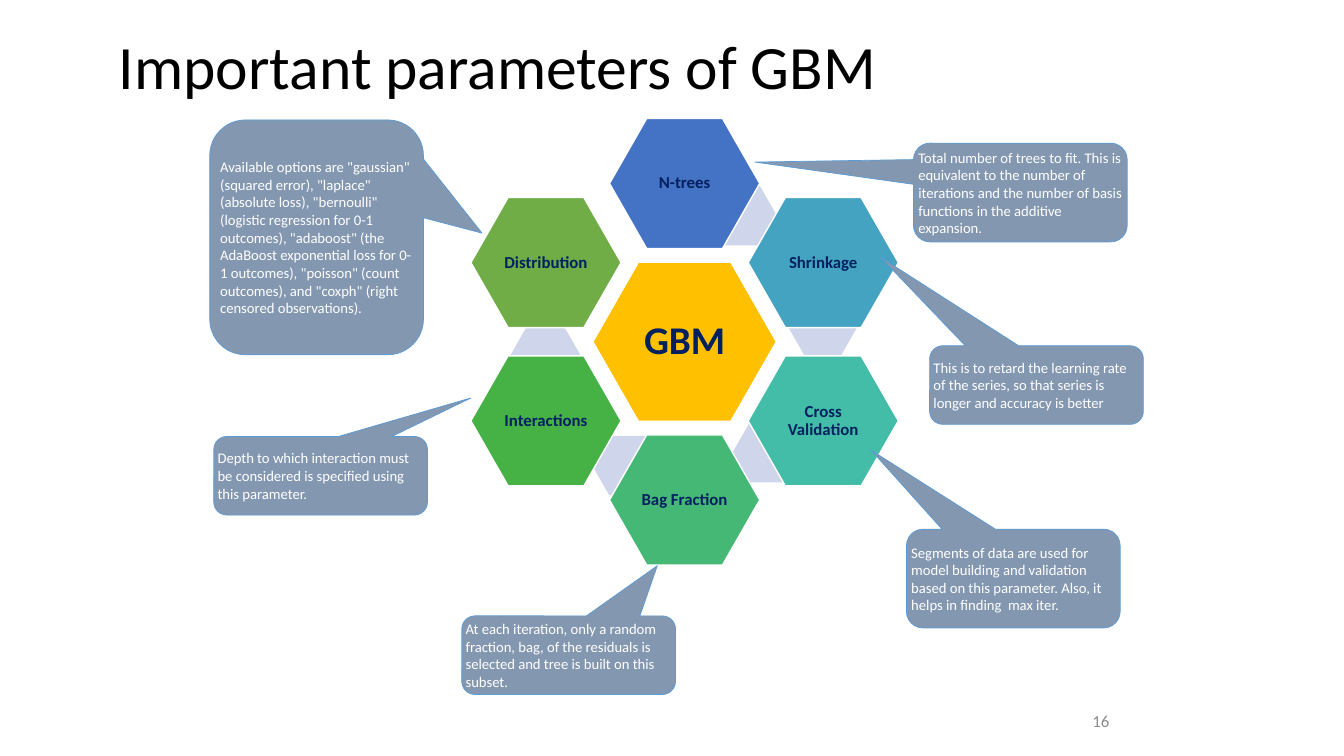
from pptx import Presentation
from pptx.dml.color import RGBColor
from pptx.enum import shapes, text
from pptx.util import Inches, Pt

FONT, NAVY, WHITE = "Calibri", "002060", "FFFFFF"
TITLE = "Important parameters of GBM"
PAGE_NUMBER = "16"

# Hexagon ring: columns and rows are counted from the hub
HUB = ("GBM", "FFC000")
HUB_X, HUB_Y = 6.79, 3.39
COLUMN_STEP, ROW_STEP = 1.375, 0.785
PARAMETERS = [  # label, colour, column, row
    ("N-trees", "4472C4", 0, -2),
    ("Shrinkage", "44A3C0", 1, -1),
    ("Cross Validation", "43BDA7", 1, 1),
    ("Bag Fraction", "44B874", 0, 2),
    ("Interactions", "46B246", -1, 1),
    ("Distribution", "70AD47", -1, -1),
]
# Centres of the pale hexagons that link neighbours
LINKS = [(7.36, 2.14), (8.16, 3.24), (7.61, 4.49), (6.22, 4.62), (5.41, 3.52)]

CALLOUT_WIDTH = 2.12
CALLOUTS = [  # left, top, height, pointer offsets, explanation
    (9.06, 1.42, 0.98, (-1.242, -0.308),
     "Total number of trees to fit. This is equivalent to the number of iterations "
     "and the number of basis functions in the additive expansion."),
    (9.22, 3.43, 0.78, (-0.73, -1.627),
     "This is to retard the learning rate of the series, so that series is longer "
     "and accuracy is better"),
    (8.99, 5.25, 0.98, (-0.666, -1.301),
     "Segments of data are used for model building and validation based on this "
     "parameter. Also, it helps in finding  max iter."),
    (4.58, 6.11, 0.78, (0.415, -1.139),
     "At each iteration, only a random fraction, bag, of the residuals is selected "
     "and tree is built on this subset."),
    (2.12, 4.33, 0.78, (0.703, -0.99),
     "Depth to which interaction must be considered is specified using this parameter."),
    (2.08, 1.19, 2.33, (0.774, -0.018),
     'Available options are "gaussian" (squared error), "laplace" (absolute loss), '
     '"bernoulli" (logistic regression for 0-1 outcomes), "adaboost" (the AdaBoost '
     'exponential loss for 0-1 outcomes), "poisson" (count outcomes), and "coxph" '
     '(right censored observations).'),
]


def rgb(value):
    return RGBColor.from_string(value)


def write(shape, words, size, color, align, bold=False, inset=None, spacing=None):
    frame = shape.text_frame
    frame.word_wrap = True
    frame.auto_size = text.MSO_AUTO_SIZE.NONE
    frame.vertical_anchor = text.MSO_ANCHOR.MIDDLE
    if inset is not None:
        frame.margin_left = frame.margin_right = Inches(inset)
        frame.margin_top = frame.margin_bottom = Inches(inset)
    frame.text = words
    paragraph = frame.paragraphs[0]
    paragraph.alignment = align
    if spacing:
        paragraph.line_spacing = spacing
    font = paragraph.font
    font.name, font.size, font.bold = FONT, Pt(size), bold
    font.color.rgb = rgb(color)


def add_shape(kind, left, top, width, height, fill, line=None, line_width=1):
    shape = slide.shapes.add_shape(
        kind, Inches(left), Inches(top), Inches(width), Inches(height))
    shape.shadow.inherit = False
    shape.fill.solid()
    shape.fill.fore_color.rgb = rgb(fill)
    if line:
        shape.line.color.rgb = rgb(line)
        shape.line.width = Pt(line_width)
    else:
        shape.line.fill.background()
    return shape


def add_hexagon(x, y, width, height, fill, line=None):
    hexagon = add_shape(shapes.MSO_SHAPE.HEXAGON, x - width / 2, y - height / 2,
                        width, height, fill, line)
    hexagon.adjustments[0] = 0.286
    hexagon.adjustments[1] = 1.155
    return hexagon


prs = Presentation()
prs.slide_width, prs.slide_height = Inches(13.33), Inches(7.5)
slide = prs.slides.add_slide(prs.slide_layouts[5])
LEFT, CENTER = text.PP_ALIGN.LEFT, text.PP_ALIGN.CENTER

# Title and page number
title = slide.shapes.title
title.left, title.top = Inches(1.08), Inches(0.3)
title.width, title.height = Inches(11), Inches(0.78)
write(title, TITLE, 44, "000000", LEFT, spacing=0.9)
page = slide.shapes.add_textbox(Inches(9.42), Inches(6.95), Inches(3), Inches(0.4))
write(page, PAGE_NUMBER, 12, "8C8C8C", CENTER)

# Links lie behind the ring
for x, y in LINKS:
    add_hexagon(x, y, 0.69, 0.59, "CFD5EA")

# Hub and ring
label, color = HUB
hub = add_hexagon(HUB_X, HUB_Y, 1.82, 1.58, color, WHITE)
write(hub, label, 28, NAVY, CENTER, bold=True, inset=0.04, spacing=0.9)
for label, color, column, row in PARAMETERS:
    hexagon = add_hexagon(HUB_X + column * COLUMN_STEP, HUB_Y + row * ROW_STEP,
                          1.49, 1.29, color, WHITE)
    write(hexagon, label, 12, NAVY, CENTER, bold=True, inset=0.02, spacing=0.9)

# Explanations
for left, top, height, pointer, explanation in CALLOUTS:
    callout = add_shape(shapes.MSO_SHAPE.ROUNDED_RECTANGULAR_CALLOUT, left, top,
                        CALLOUT_WIDTH, height, "8497B0", "5B9BD5", 0.5)
    for index, value in enumerate((*pointer, 0.167)):
        callout.adjustments[index] = value
    write(callout, explanation, 10.5, WHITE, LEFT, inset=0)

prs.save("out.pptx")
